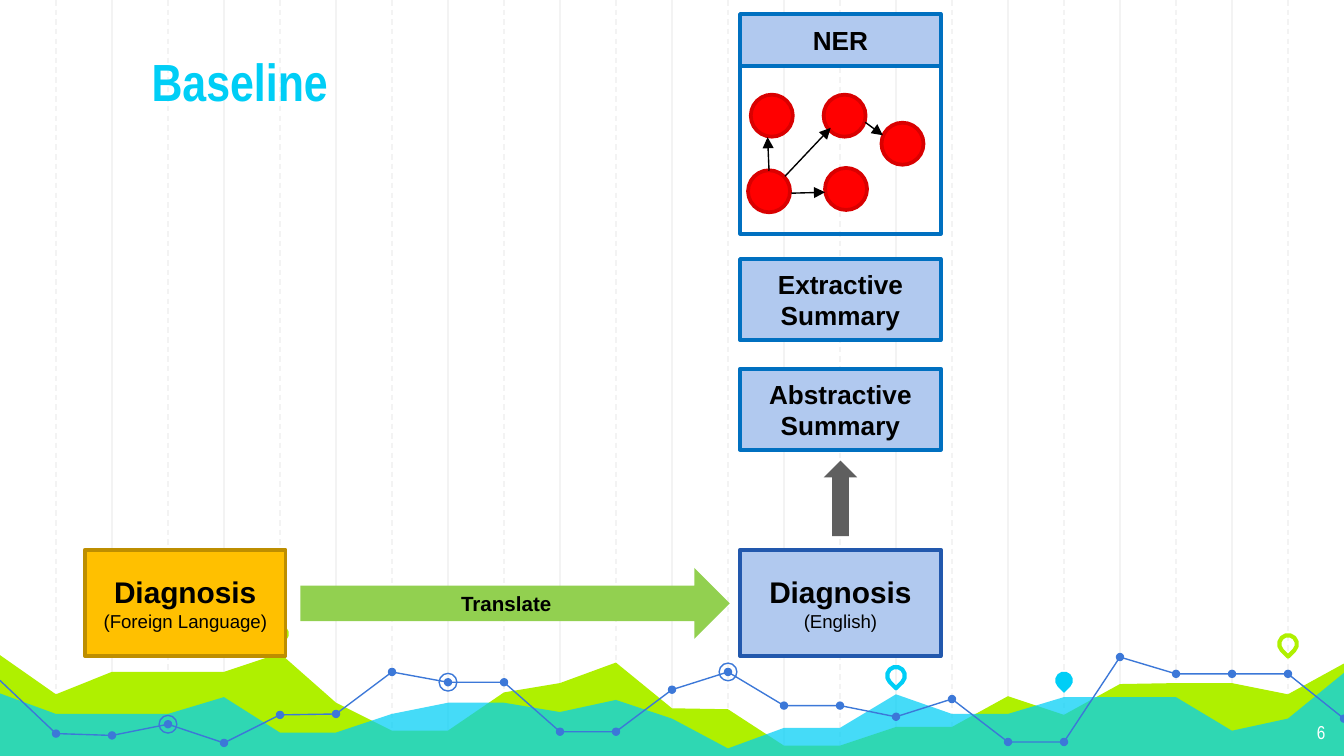
from lxml import etree
from pptx import Presentation
from pptx.dml.color import RGBColor
from pptx.enum.dml import MSO_LINE
from pptx.enum.shapes import MSO_CONNECTOR, MSO_SHAPE
from pptx.enum.text import MSO_ANCHOR, PP_ALIGN
from pptx.oxml.ns import qn
from pptx.util import Pt

RECTANGLE = MSO_SHAPE.RECTANGLE
OVAL = MSO_SHAPE.OVAL
NODE = MSO_SHAPE.FLOWCHART_CONNECTOR
TEARDROP = MSO_SHAPE.TEAR
RIGHT_ARROW = MSO_SHAPE.RIGHT_ARROW
UP_ARROW = MSO_SHAPE.UP_ARROW
STRAIGHT = MSO_CONNECTOR.STRAIGHT
DASH = MSO_LINE.DASH
LEFT, CENTER, RIGHT = PP_ALIGN.LEFT, PP_ALIGN.CENTER, PP_ALIGN.RIGHT
TOP, MIDDLE, BOTTOM = MSO_ANCHOR.TOP, MSO_ANCHOR.MIDDLE, MSO_ANCHOR.BOTTOM

COLORS = {
    "grid": "F3F3F3", "lime": "AFF000", "cyan": "00CEF6", "series": "3C78D8",
    "amber": "FFC000", "amber edge": "BD8E00", "pale": "B1C9EF",
    "navy": "2258AD", "blue": "0070C0", "green": "92D050", "gray": "5F5F5F",
    "red": "FF0000", "red edge": "D90000", "black": "000000", "white": "FFFFFF",
}
STEP = 30
LIME_DEPTHS = [11, 32, 20, 20, 20, 10, 36.5, 51.5, 51.5, 31, 26, 15, 39.5, 40,
               59.5, 59.5, 49.5, 49.5, 33, 43, 26.5, 26, 26, 32, 15.5]
CYAN_DEPTHS = [31.5, 42.5, 42.5, 42.5, 33.5, 52.5, 52.5, 42.5, 36.5, 36.5, 41.5, 35,
               45, 61, 50, 50, 32, 42.5, 42.5, 33.5, 33.5, 33.5, 51.5, 45, 20.5]
SERIES_DEPTHS = [24.5, 53, 54, 48, 58, 43, 42.5, 20, 25.5, 25.5, 52, 52, 29.5, 20,
                 38, 38, 44, 34.5, 57.5, 57.5, 12, 21, 21, 21, 45]
RINGED = [3, 8, 13]
PINS = [(5, -0.5, "lime", None), (16, 22, None, "cyan"),
        (19, 24.5, "cyan", None), (23, 5, None, "lime")]
NODES = [(17, 54.5), (56, 54.5), (87, 69.5), (15.5, 95), (56.75, 93.75)]
EDGES = [(24, 87, 48.5, 61), (27.5, 96, 45.5, 95.5),
         (15.5, 84, 14.75, 66), (67, 58, 76.5, 65)]


def rgb(name):
    """Return the named colour."""
    return RGBColor.from_string(COLORS[name])


def paint(shape, fill=None, line=None, width=2):
    """Set fill and outline, leaving out whichever has no colour."""
    shape.shadow.inherit = False
    if fill:
        shape.fill.solid()
        shape.fill.fore_color.rgb = rgb(fill)
    else:
        shape.fill.background()
    if line:
        shape.line.color.rgb = rgb(line)
        shape.line.width = Pt(width)
    else:
        shape.line.fill.background()


def add_figure(page, kind, box, fill=None, line=None, width=2):
    """Add a painted preset shape in the box."""
    shape = page.shapes.add_shape(kind, *map(Pt, box))
    paint(shape, fill, line, width)
    return shape


def add_centered(page, kind, x, y, size, fill=None, line=None, width=2):
    """Add a square preset shape around a centre."""
    return add_figure(page, kind, (x - size / 2, y - size / 2, size, size), fill, line, width)


def add_line(page, ends, color):
    """Add a thin straight connector without a shadow."""
    line = page.shapes.add_connector(STRAIGHT, *map(Pt, ends))
    line.line.color.rgb = rgb(color)
    line.line.width = Pt(0.75)
    etree.SubElement(line._element.spPr, qn("a:effectLst"))
    return line


def write(shape, lines, align=CENTER, anchor=MIDDLE, color="black", font="Arial", inset=None):
    """Write one paragraph for each (text, size, bold) entry."""
    frame = shape.text_frame
    frame.text = "\n".join(text for text, _, _ in lines)
    frame.word_wrap = True
    frame.vertical_anchor = anchor
    if inset is not None:
        frame.margin_left = frame.margin_right = Pt(inset)
        frame.margin_top = frame.margin_bottom = Pt(inset)
    for para, (_, size, bold) in zip(frame.paragraphs, lines):
        para.alignment = align
        for span in para.runs:
            span.font.name = font
            span.font.size = Pt(size)
            span.font.bold = bold
            span.font.color.rgb = rgb(color)


def add_grid(page, box):
    """Rule the box with vertical lines, alternately dashed and solid."""
    left, top, width, height = box
    for column in range(1, width // STEP):
        x = left + column * STEP
        line = add_line(page, (x, top, x, top + height), "grid")
        if column % 2:
            line.line.dash_style = DASH


def add_outline(page, points, closed):
    """Draw a freeform through the points."""
    corners = [(Pt(x), Pt(y)) for x, y in points]
    builder = page.shapes.build_freeform(*corners[0])
    builder.add_line_segments(corners[1:], close=closed)
    return builder.convert_to_shape()


def add_landscape(page, box):
    """Draw the two areas, the pins and the dotted line along the box."""
    left, top, width, height = box

    def trace(depths):
        """Place one depth on each grid column."""
        return [(left + i * STEP, top + depth) for i, depth in enumerate(depths)]

    base = [(left + width, top + height), (left, top + height)]
    for depths, color in ((LIME_DEPTHS, "lime"), (CYAN_DEPTHS, "cyan")):
        area = add_outline(page, trace(depths) + base, True)
        paint(area, color)
    tint = area._element.spPr.find(qn("a:solidFill"))[0]
    etree.SubElement(tint, qn("a:alpha"), val="73000")

    for column, depth, fill, line in PINS:
        pin = add_centered(page, TEARDROP, left + column * STEP, top + depth, 9.5, fill, line, 2.25)
        pin.rotation = 135

    points = trace(SERIES_DEPTHS)
    paint(add_outline(page, points, False), None, "series", 0.75)
    for x, y in points[1:]:
        add_centered(page, OVAL, x, y, 4.5, "series")
    for column in RINGED:
        add_centered(page, OVAL, *points[column], 9.5, None, "series", 0.75)


def add_card(page, box, lines, fill="pale", line="blue"):
    """Add a labelled rectangle."""
    write(add_figure(page, RECTANGLE, box, fill, line), lines)


def add_entity_panel(page, box):
    """Draw the NER header above a framed graph of entities."""
    left, top, width, height = box
    header = 27.75
    add_card(page, (left, top, width, header), [("NER", 14, True)])
    for x, y in NODES:
        add_centered(page, NODE, left + x, top + y, 22.5, "red", "red edge")
    for x1, y1, x2, y2 in EDGES:
        edge = add_line(page, (left + x1, top + y1, left + x2, top + y2), "black")
        etree.SubElement(edge.line._get_or_add_ln(), qn("a:tailEnd"), type="triangle")
    add_figure(page, RECTANGLE, (left, top + header, width, height - header), None, "blue")


def add_pipeline(page, box):
    """Place the translation row and the column of results above it."""
    left, top, width, height = box
    card = 107.5
    column = left + width - card
    row = top + height - 57
    add_card(page, (left, row, card, 57),
             [("Diagnosis", 16, True), ("(Foreign Language)", 10, False)], "amber", "amber edge")
    add_card(page, (column, row, card, 57),
             [("Diagnosis", 16, True), ("(English)", 10, False)], "pale", "navy")
    arrow = add_figure(page, RIGHT_ARROW, (left + 115.5, row + 9.75, 230, 38), "green")
    write(arrow, [("Translate", 11, True)])
    for offset, name in ((190, "Abstractive"), (131.25, "Extractive")):
        add_card(page, (column, top + offset, card, 43.5), [(f"{name} Summary", 14, True)])
    add_entity_panel(page, (column, top, card, 117.75))
    add_figure(page, UP_ARROW, (column + card / 2 - 9, top + 239.25, 18, 40.5), "gray")


def add_title(page, box):
    """Place the title in front of the background."""
    title = page.shapes.title
    title.left, title.top, title.width, title.height = map(Pt, box)
    write(title, [("Baseline", 28, True)], LEFT, BOTTOM, "cyan", "Arial Narrow", 7.2)
    page.shapes._spTree.append(title._element)


def add_page_number(page, box):
    """Write the page number in the box."""
    number = page.shapes.add_textbox(*map(Pt, box))
    write(number, [("6", 10, False)], RIGHT, TOP, "white", "Arial Narrow", 7.2)


def main():
    """Build and save the deck."""
    deck = Presentation()
    deck.slide_width, deck.slide_height = Pt(720), Pt(405)
    page = deck.slides.add_slide(deck.slide_layouts[5])
    add_grid(page, (0, 0, 720, 405))
    add_landscape(page, (0, 340, 720, 65))
    add_page_number(page, (674, 380, 43, 25))
    add_pipeline(page, (45.5, 7.5, 458.5, 344))
    add_title(page, (74, 11, 551, 56))
    deck.save("out.pptx")


if __name__ == "__main__":
    main()
